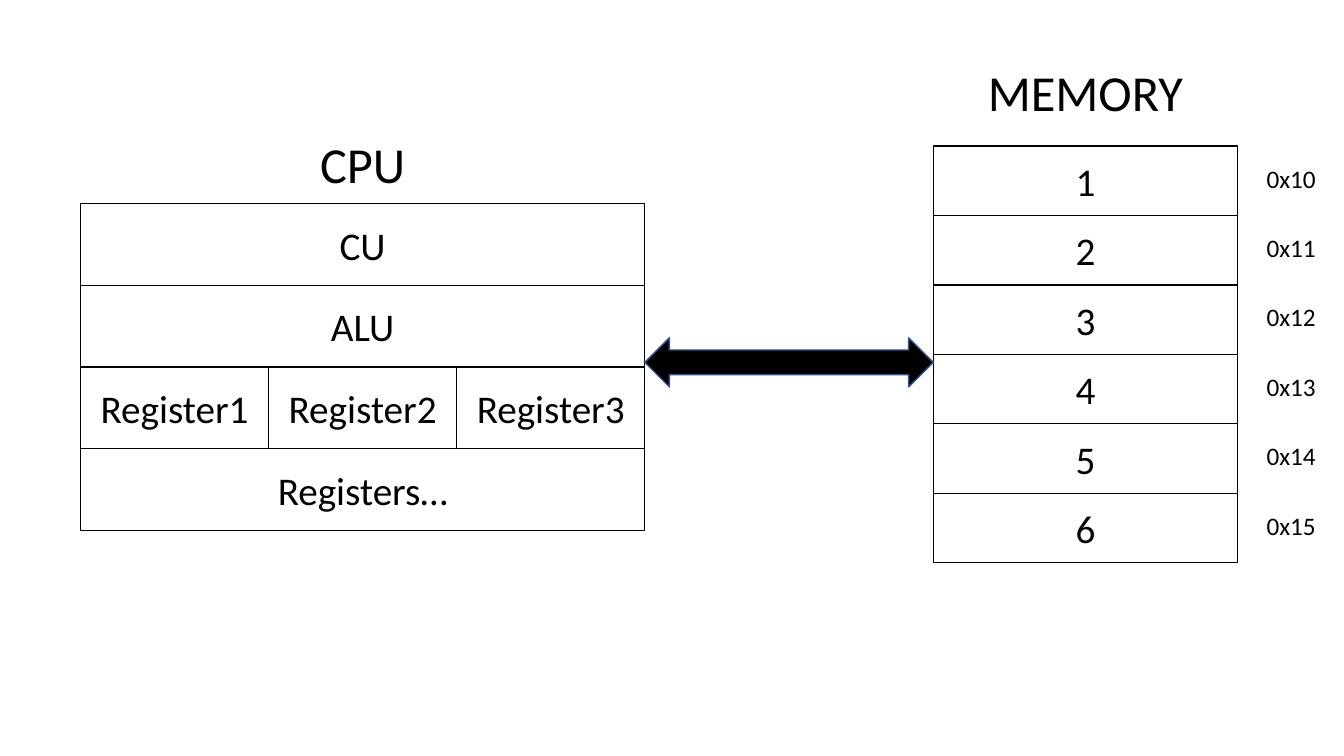
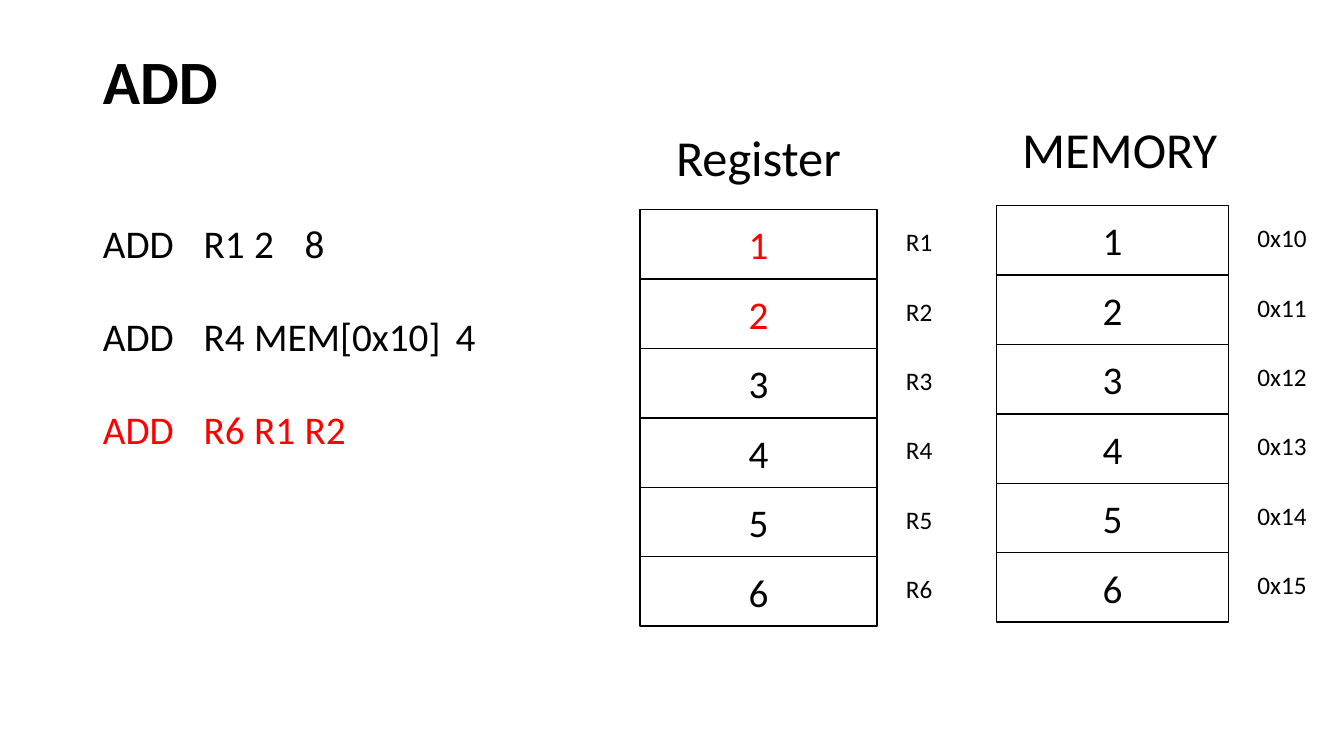
from lxml import etree
from pptx import Presentation
from pptx import util as u
from pptx.dml.color import RGBColor
from pptx.enum import shapes, text
from pptx.oxml.ns import qn

Cm, Pt = u.Cm, u.Pt
COLORS = {"ink": "000000", "paper": "FFFFFF", "accent": "FF0000", "arrow_edge": "325491"}
FONT = "Calibri"
CELL_HEIGHT = 1.75


def write(paragraph, words, size=28, color="ink", bold=False, align=text.PP_ALIGN.LEFT):
    paragraph.alignment = align
    run = paragraph.add_run()
    run.text = words
    run.font.name = FONT
    run.font.size = Pt(size)
    run.font.bold = bold
    run.font.color.rgb = RGBColor.from_string(COLORS[color])


def draw_unit(slide, heading, heading_top, rows, left, top, width, row_height=CELL_HEIGHT,
              labels=(), accents=(), heading_shift=0):
    """Draw a headed stack of rows, each split into equal cells, with labels at its right."""
    title = slide.shapes.add_textbox(Cm(left + heading_shift), Cm(heading_top), Cm(width), Cm(1.8))
    title.text_frame.word_wrap = True
    write(title.text_frame.paragraphs[0], heading, size=36, align=text.PP_ALIGN.CENTER)

    for row, cells in enumerate(rows):
        cell_width = width / len(cells)
        for column, content in enumerate(cells):
            cell = slide.shapes.add_shape(
                shapes.MSO_SHAPE.RECTANGLE, Cm(left + column * cell_width),
                Cm(top + row * row_height), Cm(cell_width), Cm(row_height))
            cell.shadow.inherit = False
            cell.fill.solid()
            cell.fill.fore_color.rgb = RGBColor.from_string(COLORS["paper"])
            cell.line.color.rgb = RGBColor.from_string(COLORS["ink"])
            cell.line.width = Pt(1)
            cell.text_frame.vertical_anchor = text.MSO_ANCHOR.MIDDLE
            write(cell.text_frame.paragraphs[0], content, align=text.PP_ALIGN.CENTER,
                  color="accent" if content in accents else "ink")

    for row, label in enumerate(labels):
        tag = slide.shapes.add_textbox(Cm(left + width + 0.48), Cm(top + row * row_height + 0.3),
                                       Cm(1.8), Cm(1.02))
        tag.text_frame.word_wrap = True
        write(tag.text_frame.paragraphs[0], label, size=18)


deck = Presentation()
deck.slide_width, deck.slide_height = Cm(33.87), Cm(19.05)

values = [[str(number)] for number in range(1, 7)]
addresses = [f"0x{number}" for number in range(10, 16)]
registers = [f"R{number}" for number in range(1, 7)]

# CPU and memory
overview = deck.slides.add_slide(deck.slide_layouts[6])
cpu_left, cpu_width, memory_left = 2.03, 14.22, 23.52
cpu_rows = [["CU"], ["ALU"], ["Register1", "Register2", "Register3"], ["Registers…"]]
draw_unit(overview, "CPU", 3.23, cpu_rows, cpu_left, 5.13, cpu_width, row_height=2.06)
draw_unit(overview, "MEMORY", 1.42, values, memory_left, 3.68, 7.67, labels=addresses)

cpu_right = cpu_left + cpu_width
bus = overview.shapes.add_shape(shapes.MSO_SHAPE.LEFT_RIGHT_ARROW, Cm(cpu_right), Cm(8.51),
                                Cm(memory_left - cpu_right), Cm(1.24))
bus.shadow.inherit = False
bus.fill.solid()
bus.fill.fore_color.rgb = RGBColor.from_string(COLORS["ink"])
bus.line.color.rgb = RGBColor.from_string(COLORS["arrow_edge"])
bus.line.width = Pt(1)

# ADD instruction
addition = deck.slides.add_slide(deck.slide_layouts[1])
operation = addition.shapes.title
operation.left, operation.top, operation.width, operation.height = (
    Cm(2.34), Cm(1.02), Cm(29.21), Cm(2.24))
operation.text_frame.vertical_anchor = text.MSO_ANCHOR.MIDDLE
operation.text_frame.paragraphs[0].line_spacing = 0.9
write(operation.text_frame.paragraphs[0], "ADD", size=44, bold=True)

instructions = addition.placeholders[1]
instructions.left, instructions.top, instructions.width, instructions.height = (
    Cm(2.34), Cm(5.41), Cm(12.5), Cm(6.2))
instructions.text_frame.auto_size = text.MSO_AUTO_SIZE.NONE

# Operands, position of the last one, colour
examples = [
    (["ADD", "R1", "2", "8"], 6.05, "ink"),
    (["ADD", "R4", "MEM[0x10]", "4"], 10.25, "ink"),
    (["ADD", "R6", "R1", "R2"], 6.58, "accent"),
]
for index, (operands, last_stop, color) in enumerate(examples):
    frame = instructions.text_frame
    line = frame.paragraphs[0] if index == 0 else frame.add_paragraph()
    line.space_before, line.space_after = Pt(0), Pt(32.8)
    write(line, "\t".join(operands), color=color)
    properties = line._p.get_or_add_pPr()
    properties.set("marL", "0")
    properties.set("indent", "0")
    etree.SubElement(properties, qn("a:buNone"))
    stops = etree.SubElement(properties, qn("a:tabLst"))
    for stop in (2.7, 4.65, last_stop):
        etree.SubElement(stops, qn("a:tab"), pos=str(Cm(stop)), algn="l")

draw_unit(addition, "Register", 3.05, values, 16.13, 5.28, 5.97,
          labels=registers, accents=("1", "2"))
draw_unit(addition, "MEMORY", 2.84, values, 25.12, 5.18, 5.84,
          labels=addresses, heading_shift=0.18)

deck.save("out.pptx")
